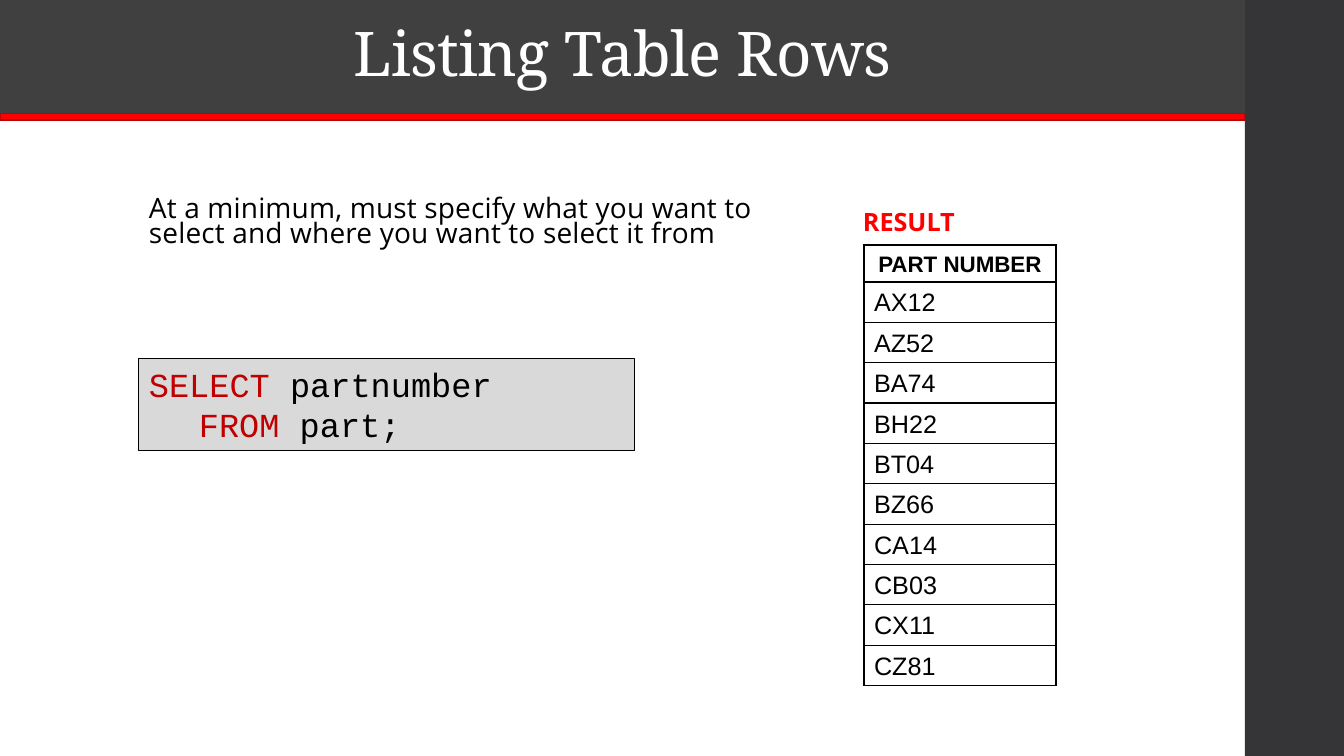
"""Builds the slide on listing table rows with a SQL query and its result."""
from lxml.etree import SubElement
from pptx import Presentation
from pptx.dml.color import RGBColor
from pptx.enum.shapes import MSO_SHAPE as Shape
from pptx.enum.text import MSO_ANCHOR as Anchor, PP_ALIGN as Align
from pptx.oxml.ns import qn
from pptx.util import Emu, Pt

TITLE = "Listing Table Rows"
RULE = "At a minimum, must specify what you want to select and where you want to select it from"
QUERY = [(0, "SELECT", " partnumber"), (50, "FROM", " part;")]
RESULT = "RESULT"
HEADING = "PART NUMBER"
PARTS = ["AX12", "AZ52", "BA74", "BH22", "BT04", "BZ66", "CA14", "CB03", "CX11", "CZ81"]

SERIF, SANS, MONO, TABLE_FONT = "Noto Serif", "Open Sans", "Courier New", "Arial"
BLACK, WHITE, RED, DARK_RED = "000000", "FFFFFF", "FF0000", "C00000"
WIDTH, HEIGHT = 1344, 756
PANEL_LEFT, TITLE_HEIGHT, STRIPE = 1245, 113, 7
HEAD_ROW, PART_ROW = 37, 40


def px(length):
    return Emu(round(length * 914400 / 100.8))


def color(value):
    return RGBColor.from_string(value)


def style(para, size, font, fill, bold=False, spacing=0):
    for span in para.runs:
        span.font.size = Pt(size)
        span.font.name = font
        span.font.bold = bold
        span.font.color.rgb = color(fill)
        if spacing:
            span.font._element.set("spc", str(spacing))


def add_box(page, place, fill, line=None, weight=1):
    box = page.shapes.add_shape(Shape.RECTANGLE, *map(px, place))
    box.shadow.inherit = False
    box.fill.solid()
    box.fill.fore_color.rgb = color(fill)
    if line:
        box.line.color.rgb = color(line)
        box.line.width = Pt(weight)
    else:
        box.line.fill.background()
    return box


def add_text(page, place, text):
    frame = page.shapes.add_textbox(*map(px, place)).text_frame
    frame.word_wrap = True
    frame.text = text
    return frame.paragraphs[0]


def add_borders(cell):
    properties = cell._tc.get_or_add_tcPr()
    for position, side in enumerate(("a:lnL", "a:lnR", "a:lnT", "a:lnB")):
        line = SubElement(properties, qn(side), w=str(Pt(1)))
        fill = SubElement(line, qn("a:solidFill"))
        SubElement(fill, qn("a:srgbClr"), val=BLACK)
        properties.insert(position, line)


def add_frame(page):
    add_box(page, (PANEL_LEFT, 0, WIDTH - PANEL_LEFT, HEIGHT), "353537")
    add_box(page, (0, TITLE_HEIGHT, PANEL_LEFT, STRIPE), RED, "BD0000", 1.1)
    frame = add_box(page, (0, 0, PANEL_LEFT, TITLE_HEIGHT), "404040").text_frame
    frame.vertical_anchor = Anchor.MIDDLE
    frame.text = TITLE
    para = frame.paragraphs[0]
    para.alignment = Align.CENTER
    para.line_spacing = 0.9
    style(para, 44, SERIF, WHITE, spacing=-50)


def add_query(page):
    frame = add_box(page, (139, 359, 496, 92), "D9D9D9", BLACK, 0.75).text_frame
    frame.vertical_anchor = Anchor.TOP
    frame.word_wrap = True
    for number, (indent, keyword, rest) in enumerate(QUERY):
        para = frame.add_paragraph() if number else frame.paragraphs[0]
        para.alignment = Align.LEFT
        para._p.get_or_add_pPr().set("marL", str(px(indent)))
        for text in (keyword, rest):
            para.add_run().text = text
        style(para, 24, MONO, BLACK)
        para.runs[0].font.color.rgb = color(DARK_RED)


def add_result(page):
    rows = [HEADING, *PARTS]
    height = HEAD_ROW + PART_ROW * len(PARTS)
    table = page.shapes.add_table(len(rows), 1, px(864), px(245), px(192), px(height)).table
    table.first_row = table.horz_banding = False
    for number, text in enumerate(rows):
        heading = number == 0
        table.rows[number].height = px(HEAD_ROW if heading else PART_ROW)
        cell = table.cell(number, 0)
        cell.fill.background()
        cell.vertical_anchor = Anchor.BOTTOM
        cell.text = text
        para = cell.text_frame.paragraphs[0]
        para.alignment = Align.CENTER if heading else Align.LEFT
        style(para, 16 if heading else 18, TABLE_FONT, BLACK, heading)
        add_borders(cell)


def main():
    deck = Presentation()
    deck.slide_width, deck.slide_height = px(WIDTH), px(HEIGHT)
    page = deck.slides.add_slide(deck.slide_layouts[6])
    add_frame(page)
    rule = add_text(page, (139, 194, 637, 97), RULE)
    rule.line_spacing = 0.74
    rule.space_before = Pt(2)
    style(rule, 20, SANS, BLACK, spacing=10)
    add_query(page)
    add_result(page)
    style(add_text(page, (853, 201, 203, 40), RESULT), 18, SANS, RED, True)
    deck.save("out.pptx")


if __name__ == "__main__":
    main()
